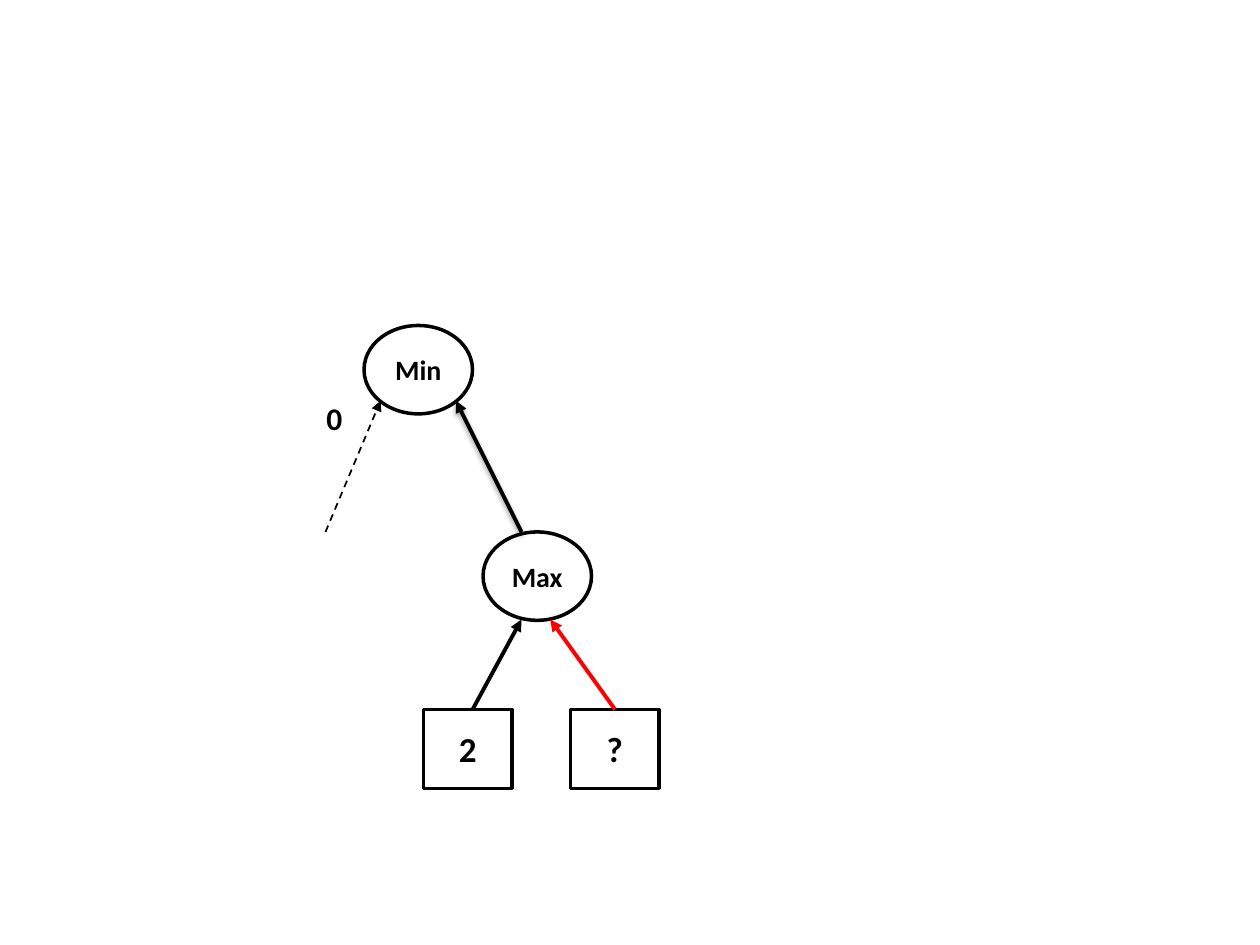
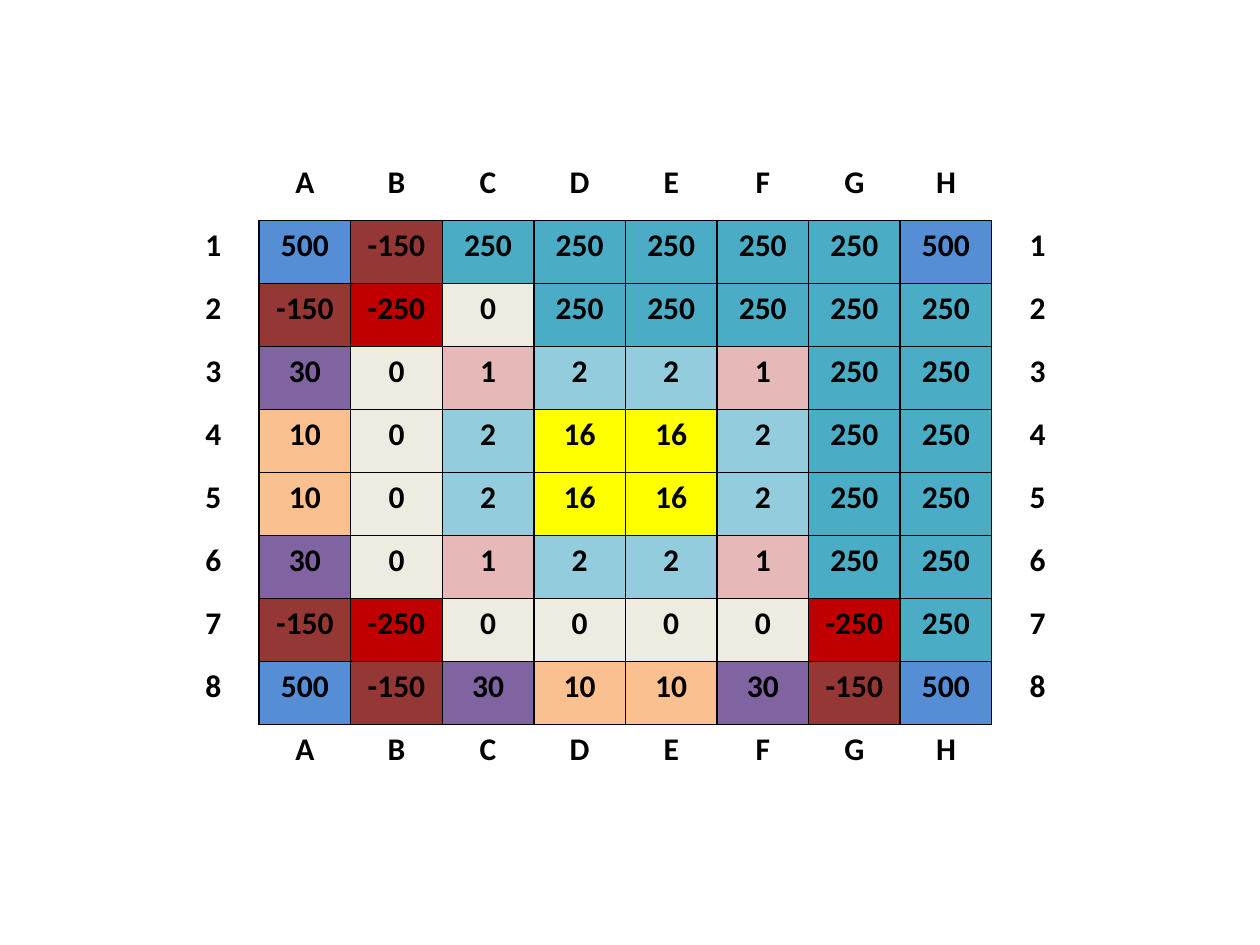
from dataclasses import dataclass

from lxml.etree import SubElement
from pptx import Presentation
from pptx.dml.color import RGBColor
from pptx.enum.dml import MSO_LINE_DASH_STYLE as Dash
from pptx.enum.shapes import MSO_CONNECTOR as Connector, MSO_SHAPE as Shape
from pptx.enum.text import MSO_ANCHOR as Anchor, PP_ALIGN as Align
from pptx.oxml.ns import qn
from pptx.util import Pt


@dataclass(frozen=True)
class Theme:
    font: str = "Calibri"
    black: str = "000000"
    white: str = "FFFFFF"
    red: str = "FF0000"
    node_size: int = 16
    leaf_size: int = 20
    label_size: int = 18
    outline: float = 2
    arrow: float = 2.25
    thin: float = 1


THEME = Theme()

# Search tree: text, left, top
NODES = [("Min", 208, 186), ("Max", 276, 304)]
LEAVES = [("2", 242, 405.5), ("?", 326, 405.5)]
NODE_BOX = (62, 50.5)
LEAF_BOX = (50.5, 45)
BRANCH_LABEL = ("0", 174, 224.5, 34, 29)
# Start, end, then what differs from a plain black arrow
BRANCHES = [
    ((298, 304), (260.5, 229), {"shadow": True}),
    ((186, 304), (217.5, 229), {"width": THEME.thin, "dash": Dash.DASH}),
    ((270, 405.5), (298, 354), {}),
    ((351.5, 405.5), (314.5, 354), {"color": THEME.red}),
]

# Board weights, and the colour of each weight
COLUMNS = "ABCDEFGH"
WEIGHTS = [
    [500, -150, 250, 250, 250, 250, 250, 500],
    [-150, -250, 0, 250, 250, 250, 250, 250],
    [30, 0, 1, 2, 2, 1, 250, 250],
    [10, 0, 2, 16, 16, 2, 250, 250],
    [10, 0, 2, 16, 16, 2, 250, 250],
    [30, 0, 1, 2, 2, 1, 250, 250],
    [-150, -250, 0, 0, 0, 0, -250, 250],
    [500, -150, 30, 10, 10, 30, -150, 500],
]
WEIGHT_COLORS = {
    500: "558ED5", 250: "4BACC6", 30: "8064A2", 16: "FFFF00", 10: "FAC090",
    2: "93CDDD", 1: "E6B9B8", 0: "EEECE1", -150: "953735", -250: "C00000",
}
BOARD_LEFT, BOARD_TOP = 95.75, 90
CELL_WIDTH, CELL_HEIGHT = 52.35, 36
# Border element and the step to the neighbour on that side
SIDES = {"a:lnL": (0, -1), "a:lnR": (0, 1), "a:lnT": (-1, 0), "a:lnB": (1, 0)}


def rgb(color):
    return RGBColor.from_string(color)


def add_node(parent, tag, **values):
    return SubElement(parent, qn(tag), {key: str(value) for key, value in values.items()})


def write(frame, text, size):
    """Put one centred bold line into a text frame."""
    para = frame.paragraphs[0]
    para.alignment = Align.CENTER
    span = para.add_run()
    span.text = text
    for name, value in {"name": THEME.font, "size": Pt(size), "bold": True}.items():
        setattr(span.font, name, value)
    span.font.color.rgb = rgb(THEME.black)


# Search tree
def add_box(tree, preset, spot, extent, text, size, fill=None):
    box = tree.shapes.add_shape(preset, *map(Pt, (*spot, *extent)))
    box.shadow.inherit = False
    if fill:
        box.fill.solid()
        box.fill.fore_color.rgb = rgb(fill)
    else:
        box.fill.background()
    box.line.color.rgb = rgb(THEME.black)
    box.line.width = Pt(THEME.outline)
    frame = box.text_frame
    layout = {"vertical_anchor": Anchor.MIDDLE, "word_wrap": True,
              "margin_left": 0, "margin_right": 0}
    for name, value in layout.items():
        setattr(frame, name, value)
    write(frame, text, size)


def add_arrow(tree, start, end, color=THEME.black, width=THEME.arrow, dash=None, shadow=False):
    arrow = tree.shapes.add_connector(Connector.STRAIGHT, *map(Pt, (*start, *end)))
    arrow.line.color.rgb = rgb(color)
    arrow.line.width = Pt(width)
    if dash:
        arrow.line.dash_style = dash
    add_node(arrow.line._get_or_add_ln(), "a:tailEnd", type="triangle")
    effects = add_node(arrow._element.spPr, "a:effectLst")
    if shadow:
        cast = add_node(effects, "a:outerShdw", blurRad=Pt(3.1), dist=Pt(1.6),
                        dir=90 * 60000, rotWithShape=0)
        tint = add_node(cast, "a:srgbClr", val=THEME.black)
        add_node(tint, "a:alpha", val=38000)


def build_tree(page):
    tree = page.shapes.add_group_shape()
    for text, *spot in NODES:
        add_box(tree, Shape.OVAL, spot, NODE_BOX, text, THEME.node_size, THEME.white)
    for text, *spot in LEAVES:
        add_box(tree, Shape.RECTANGLE, spot, LEAF_BOX, text, THEME.leaf_size)
    for start, end, style in BRANCHES:
        add_arrow(tree, start, end, **style)
    text, *place = BRANCH_LABEL
    label = tree.shapes.add_textbox(*map(Pt, place))
    label.text_frame.word_wrap = True
    write(label.text_frame, text, THEME.label_size)


# Weight board
def add_borders(cell, row, col, on_board):
    """Draw the sides that touch a weight and hide the others."""
    for tag, (down, right) in SIDES.items():
        edge = add_node(cell._tc.get_or_add_tcPr(), tag, w=Pt(THEME.thin))
        if on_board(row, col) or on_board(row + down, col + right):
            add_node(add_node(edge, "a:solidFill"), "a:srgbClr", val=THEME.black)
        else:
            add_node(edge, "a:noFill")


def build_board(page):
    header = ["", *COLUMNS, ""]
    body = [[rank, *weights, rank] for rank, weights in enumerate(WEIGHTS, 1)]
    grid = [header, *body, header]
    rows, cols = len(grid), len(header)

    def on_board(row, col):
        return 0 < row < rows - 1 and 0 < col < cols - 1

    extent = (CELL_WIDTH * cols, CELL_HEIGHT * rows)
    table = page.shapes.add_table(rows, cols, *map(Pt, (BOARD_LEFT, BOARD_TOP, *extent))).table
    table.first_row = table.horz_banding = False
    for row, values in enumerate(grid):
        for col, value in enumerate(values):
            cell = table.cell(row, col)
            add_borders(cell, row, col, on_board)
            cell.fill.solid()
            color = WEIGHT_COLORS[value] if on_board(row, col) else THEME.white
            cell.fill.fore_color.rgb = rgb(color)
            if value != "":
                write(cell.text_frame, str(value), THEME.label_size)


def main():
    deck = Presentation()
    deck.slide_width, deck.slide_height = Pt(720), Pt(540)
    blank = deck.slide_layouts[6]
    for build in (build_tree, build_board):
        build(deck.slides.add_slide(blank))
    deck.save("out.pptx")


if __name__ == "__main__":
    main()
